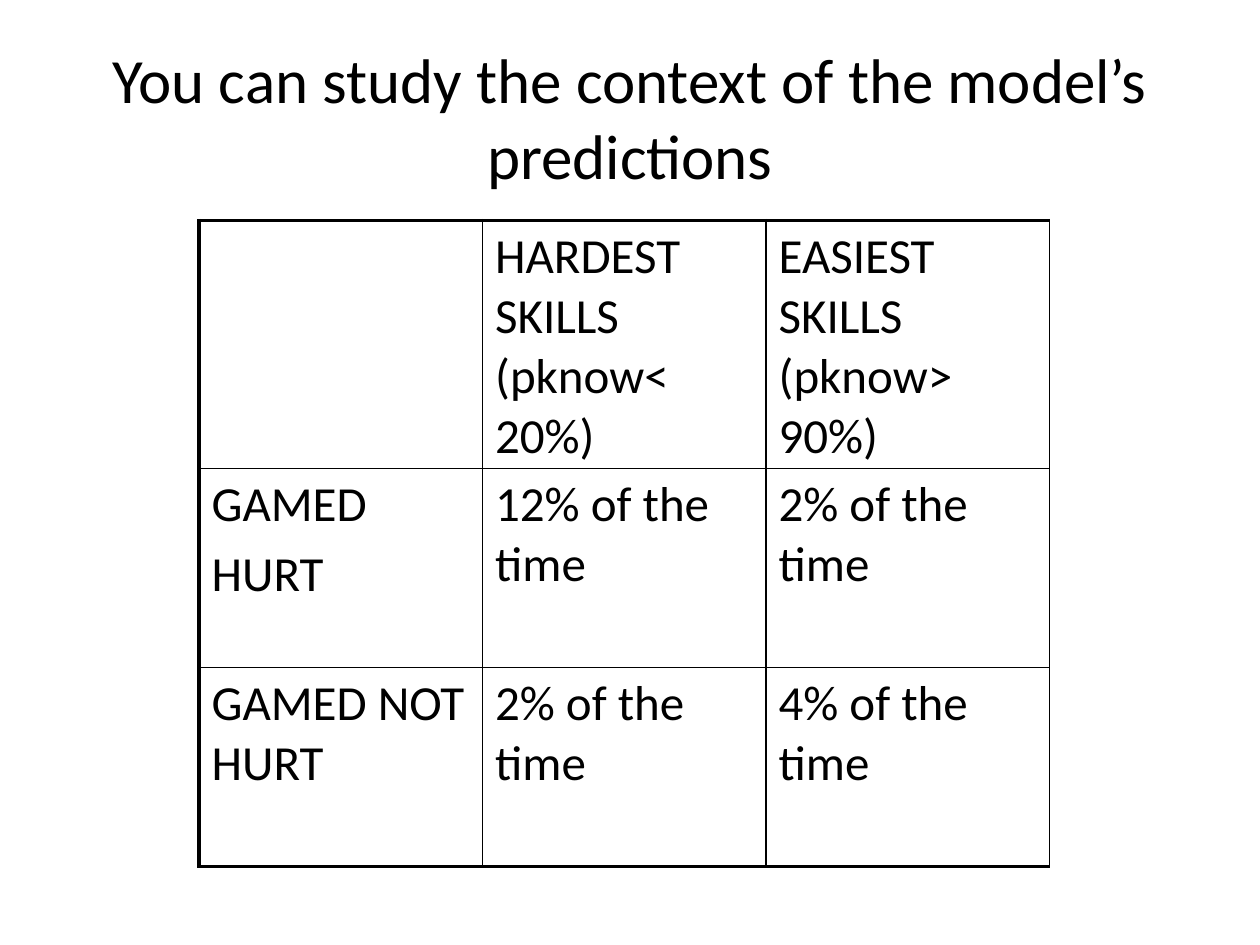
import pptx
import pptx.dml.color
import pptx.enum.text
import pptx.oxml
import pptx.oxml.ns
import pptx.util
from pptx.util import Inches, Pt

BLACK = pptx.dml.color.RGBColor(0, 0, 0)
FONT = "Calibri"
THIN, THICK = 1, 2.25
ROWS = [
    ["", "HARDEST SKILLS (pknow<\v20%)", "EASIEST SKILLS (pknow>\v90%)"],
    ["GAMED\nHURT", "12% of the time", "2% of the time"],
    ["GAMED NOT HURT", "2% of the time", "4% of the time"],
]
HEIGHTS = [1.74, 1.58, 1.58]


def style(para, size):
    """Set the font of a paragraph."""
    para.font.name = FONT
    para.font.size = Pt(size)
    para.font.color.rgb = BLACK


def border(cell, widths):
    """Draw the four borders of a cell, given widths in points by side."""
    props = cell._tc.get_or_add_tcPr()
    for spot, (side, width) in enumerate(widths.items()):
        line = pptx.oxml.parse_xml(
            f'<a:ln{side} {pptx.oxml.ns.nsdecls("a")} w="{Pt(width)}">'
            f'<a:solidFill><a:srgbClr val="{BLACK}"/></a:solidFill></a:ln{side}>'
        )
        props.insert(spot, line)


def title(slide, text, left, top, width, height):
    """Add the centred title in the given box."""
    box = slide.shapes.add_textbox(Inches(left), Inches(top), Inches(width), Inches(height))
    frame = box.text_frame
    frame.word_wrap = True
    frame.vertical_anchor = pptx.enum.text.MSO_ANCHOR.MIDDLE
    para = frame.paragraphs[0]
    para.text = text
    para.alignment = pptx.enum.text.PP_ALIGN.CENTER
    style(para, 36)


def grid(slide, rows, heights, left, top, width):
    """Add the ruled table, with equal columns, in the given box."""
    count = len(rows[0])
    table = slide.shapes.add_table(
        len(rows), count, Inches(left), Inches(top), Inches(width), Inches(sum(heights))
    ).table
    table.first_row = table.horz_banding = False
    for col in table.columns:
        col.width = Inches(width / count)
    for r, (texts, height) in enumerate(zip(rows, heights)):
        table.rows[r].height = Inches(height)
        for c, text in enumerate(texts):
            cell = table.cell(r, c)
            cell.text = text
            cell.fill.background()
            border(cell, {
                "L": THICK if c == 0 else THIN,
                "R": THIN,
                "T": THICK if r == 0 else THIN,
                "B": THICK if r == len(rows) - 1 else THIN,
            })
            for para in cell.text_frame.paragraphs:
                para.space_before = Pt(5.6)
                style(para, 28)


deck = pptx.Presentation()
deck.slide_width, deck.slide_height = Inches(10), Inches(7.5)
page = deck.slides.add_slide(deck.slide_layouts[6])
title(page, "You can study the context of the model’s predictions", 0.5, 0.3, 9, 1.25)
grid(page, ROWS, HEIGHTS, 1.58, 1.75, 6.75)
deck.save("out.pptx")
